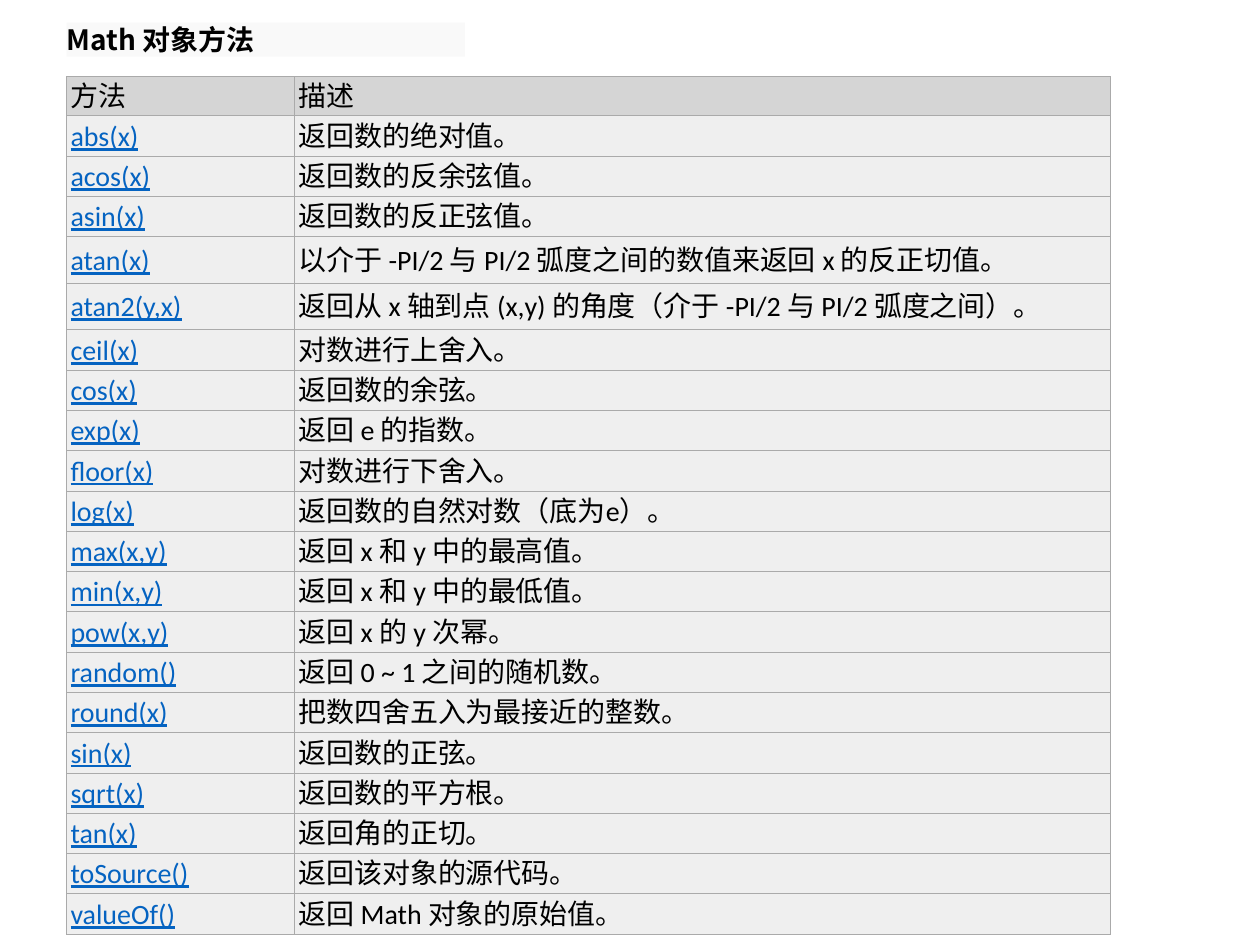
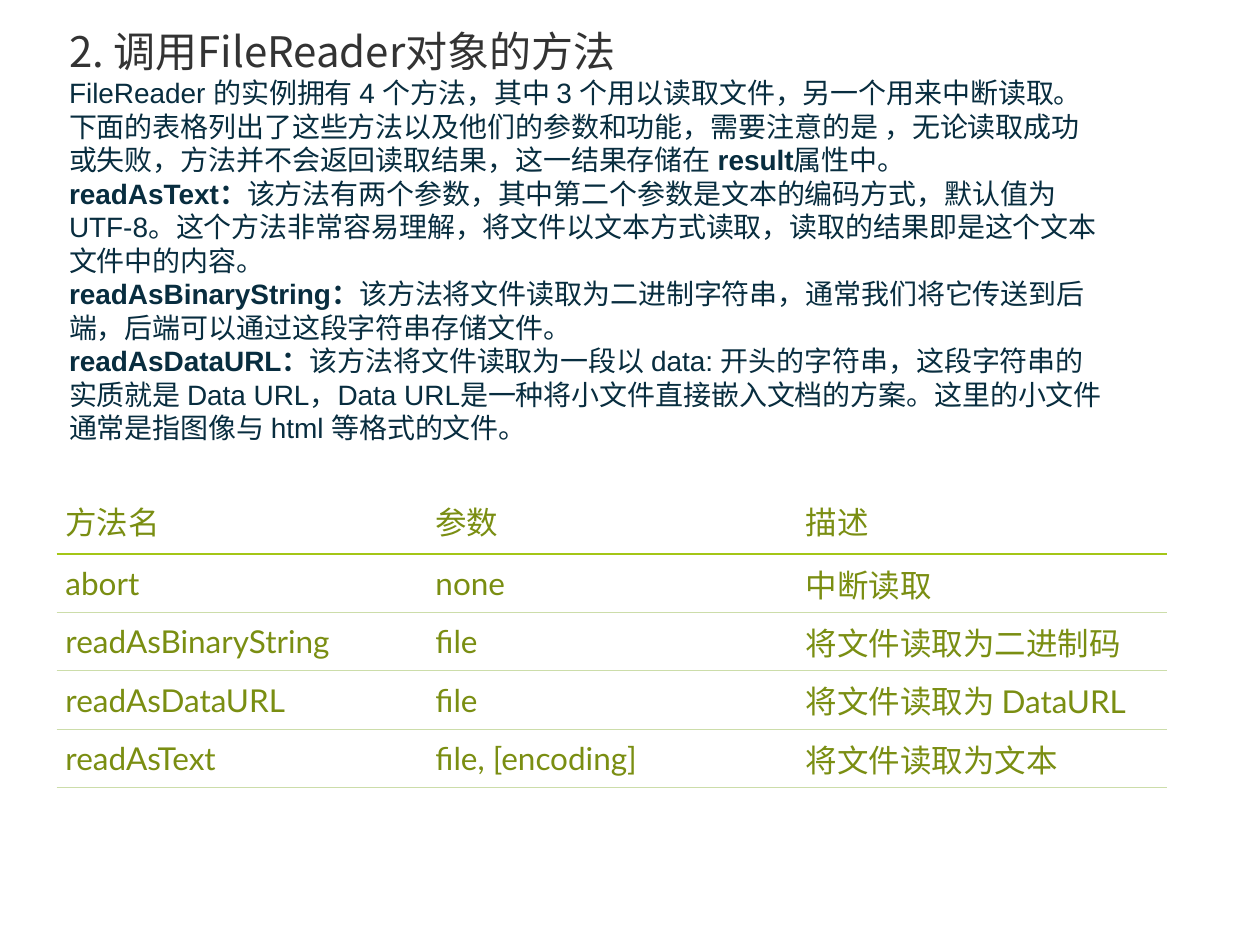
import lxml.etree
import pptx
import pptx.dml.color
import pptx.enum.shapes
import pptx.enum.text
import pptx.oxml.ns
import pptx.util

Inches = pptx.util.Inches
Pt = pptx.util.Pt
RGBColor = pptx.dml.color.RGBColor
MIDDLE = pptx.enum.text.MSO_ANCHOR.MIDDLE
TOP = pptx.enum.text.MSO_ANCHOR.TOP
qn = pptx.oxml.ns.qn

# Colours
BLACK = RGBColor(0x00, 0x00, 0x00)
WHITE = RGBColor(0xFF, 0xFF, 0xFF)
LINK_BLUE = RGBColor(0x05, 0x63, 0xC1)
HEADER_GREY = RGBColor(0xD5, 0xD5, 0xD5)
ROW_GREY = RGBColor(0xEF, 0xEF, 0xEF)
GRID_GREY = RGBColor(0xAA, 0xAA, 0xAA)
TITLE_GREY = RGBColor(0xF9, 0xF9, 0xF9)
HEADING = RGBColor(0x33, 0x33, 0x33)
NAVY = RGBColor(0x08, 0x2D, 0x3F)
OLIVE = RGBColor(0x7A, 0x8E, 0x12)
LIME = RGBColor(0xA4, 0xC6, 0x17)
PALE_LIME = RGBColor(0xCC, 0xDD, 0xAA)

CJK_FONT = "Noto Sans CJK SC"

MATH_METHODS = [
    ("方法", "描述"),
    ("abs(x)", "返回数的绝对值。"),
    ("acos(x)", "返回数的反余弦值。"),
    ("asin(x)", "返回数的反正弦值。"),
    ("atan(x)", "以介于 -PI/2 与 PI/2 弧度之间的数值来返回 x 的反正切值。"),
    ("atan2(y,x)", "返回从 x 轴到点 (x,y) 的角度（介于 -PI/2 与 PI/2 弧度之间）。"),
    ("ceil(x)", "对数进行上舍入。"),
    ("cos(x)", "返回数的余弦。"),
    ("exp(x)", "返回 e 的指数。"),
    ("floor(x)", "对数进行下舍入。"),
    ("log(x)", "返回数的自然对数（底为e）。"),
    ("max(x,y)", "返回 x 和 y 中的最高值。"),
    ("min(x,y)", "返回 x 和 y 中的最低值。"),
    ("pow(x,y)", "返回 x 的 y 次幂。"),
    ("random()", "返回 0 ~ 1 之间的随机数。"),
    ("round(x)", "把数四舍五入为最接近的整数。"),
    ("sin(x)", "返回数的正弦。"),
    ("sqrt(x)", "返回数的平方根。"),
    ("tan(x)", "返回角的正切。"),
    ("toSource()", "返回该对象的源代码。"),
    ("valueOf()", "返回 Math 对象的原始值。"),
]

READER_METHODS = [
    ("方法名", "参数", "描述"),
    ("abort", "none", "中断读取"),
    ("readAsBinaryString", "file", "将文件读取为二进制码"),
    ("readAsDataURL", "file", "将文件读取为 DataURL"),
    ("readAsText", "file, [encoding]", "将文件读取为文本"),
]

# Each paragraph is a list of (text, bold) pieces
READER_NOTES = [
    [("FileReader 的实例拥有 4 个方法，其中 3 个用以读取文件，另一个用来中断读取。"
      "下面的表格列出了这些方法以及他们的参数和功能，需要注意的是 ，无论读取成功或失败，"
      "方法并不会返回读取结果，这一结果存储在 ", False),
     ("result", True), ("属性中。", False)],
    [("readAsText：", True),
     ("该方法有两个参数，其中第二个参数是文本的编码方式，默认值为 UTF-8。这个方法非常容易理解，"
      "将文件以文本方式读取，读取的结果即是这个文本文件中的内容。", False)],
    [("readAsBinaryString：", True),
     ("该方法将文件读取为二进制字符串，通常我们将它传送到后端，"
      "后端可以通过这段字符串存储文件。", False)],
    [("readAsDataURL：", True),
     ("该方法将文件读取为一段以 data: 开头的字符串，这段字符串的实质就是 Data URL，"
      "Data URL是一种将小文件直接嵌入文档的方案。这里的小文件通常是指图像与 html 等格式的文件。",
      False)],
]


def write(paragraph, text, size=16, font=CJK_FONT, east_asian=CJK_FONT,
          color=BLACK, bold=False, underline=False):
    run = paragraph.add_run()
    run.text = text
    run.font.size = Pt(size)
    run.font.bold = bold
    run.font.underline = underline
    run.font.color.rgb = color
    run.font.name = font
    lxml.etree.SubElement(run._r.get_or_add_rPr(), qn("a:ea"), typeface=east_asian)


def set_borders(cell, **edges):
    """Draw the given edges (L, R, T, B) as (colour, points); clear the others."""
    properties = cell._tc.get_or_add_tcPr()
    for position, edge in enumerate("LRTB"):
        color, width = edges.get(edge, (None, 0))
        line = lxml.etree.Element(qn(f"a:ln{edge}"), w=str(Pt(width)))
        if color is None:
            lxml.etree.SubElement(line, qn("a:noFill"))
        else:
            fill = lxml.etree.SubElement(line, qn("a:solidFill"))
            lxml.etree.SubElement(fill, qn("a:srgbClr"), val=str(color))
        properties.insert(position, line)


class Deck:
    """Holds the presentation style and the current slide."""

    def __init__(self):
        self.presentation = pptx.Presentation()
        self.presentation.slide_width = Inches(10)
        self.presentation.slide_height = Inches(7.5)
        self.slide = None

    def new_slide(self):
        self.slide = self.presentation.slides.add_slide(self.presentation.slide_layouts[6])

    def band(self, left, top, width, height, color):
        band = self.slide.shapes.add_shape(
            pptx.enum.shapes.MSO_SHAPE.RECTANGLE,
            Inches(left), Inches(top), Inches(width), Inches(height))
        band.shadow.inherit = False
        band.fill.solid()
        band.fill.fore_color.rgb = color
        band.line.fill.background()
        frame = band.text_frame
        frame.margin_left = frame.margin_right = frame.margin_top = frame.margin_bottom = 0
        frame.vertical_anchor = MIDDLE
        frame.paragraphs[0].alignment = pptx.enum.text.PP_ALIGN.LEFT
        return frame

    def text_box(self, left, top, width, height):
        box = self.slide.shapes.add_textbox(
            Inches(left), Inches(top), Inches(width), Inches(height))
        box.text_frame.word_wrap = True
        box.text_frame.vertical_anchor = TOP
        return box.text_frame

    def table(self, left, top, widths, heights, rows, style_cell):
        """Fill a table; style_cell(cell, row, column) returns the text format."""
        grid = self.slide.shapes.add_table(
            len(rows), len(widths), Inches(left), Inches(top),
            Inches(sum(widths)), Inches(sum(heights))).table
        grid.first_row = grid.horz_banding = False
        for column, width in zip(grid.columns, widths):
            column.width = Inches(width)
        for row, height in zip(grid.rows, heights):
            row.height = Inches(height)
        for r, texts in enumerate(rows):
            for c, text in enumerate(texts):
                cell = grid.cell(r, c)
                cell.vertical_anchor = MIDDLE
                write(cell.text_frame.paragraphs[0], text, **style_cell(cell, r, c))


def style_math_cell(cell, row, column):
    cell.fill.solid()
    cell.fill.fore_color.rgb = ROW_GREY if row else HEADER_GREY
    cell.margin_left, cell.margin_right = Inches(0.03), Inches(0.07)
    # Slim margins keep all 21 rows on the slide
    cell.margin_top, cell.margin_bottom = Inches(0.01), 0
    set_borders(cell, **dict.fromkeys("LRTB", (GRID_GREY, 0.6)))
    is_method = row > 0 and column == 0
    return dict(font="Calibri", east_asian="Calibri", underline=is_method,
                color=LINK_BLUE if is_method else BLACK)


def style_reader_cell(cell, row, column):
    cell.fill.solid()
    cell.fill.fore_color.rgb = WHITE
    cell.margin_left = cell.margin_right = Inches(0.07)
    cell.margin_top = cell.margin_bottom = Inches(0.05 if row else 0.08)
    header_rule, row_rule = (LIME, 1.2), (PALE_LIME, 0.6)
    if row == 0:
        set_borders(cell, B=header_rule)
    else:
        set_borders(cell, T=header_rule if row == 1 else row_rule, B=row_rule)
    return dict(size=18, font="Lato", color=OLIVE)


def build_math_slide(deck):
    deck.new_slide()
    heights = [0.31] + [0.37 if row[0].startswith("atan") else 0.32
                        for row in MATH_METHODS[1:]]
    deck.table(0.53, 0.61, [1.81, 6.47], heights, MATH_METHODS, style_math_cell)
    title = deck.band(0.53, 0.18, 3.16, 0.27, TITLE_GREY)
    write(title.paragraphs[0], "Math 对象方法", bold=True)


def build_reader_slide(deck):
    deck.new_slide()
    deck.table(0.45, 3.87, [8.81 / 3] * 3, [0.53] + [0.46] * 4,
               READER_METHODS, style_reader_cell)
    notes = deck.text_box(0.45, 0.13, 8.44, 4.01)
    heading = notes.paragraphs[0]
    heading.line_spacing = Pt(30.5)
    write(heading, "2. 调用FileReader对象的方法", size=24, color=HEADING)
    for pieces in READER_NOTES:
        paragraph = notes.add_paragraph()
        paragraph.line_spacing = Pt(19.15)
        # Closing punctuation stays inside the box
        paragraph._p.get_or_add_pPr().set("hangingPunct", "0")
        for text, bold in pieces:
            write(paragraph, text, font="Arial", color=NAVY, bold=bold)


def main():
    deck = Deck()
    build_math_slide(deck)
    build_reader_slide(deck)
    deck.presentation.save("out.pptx")


if __name__ == "__main__":
    main()
